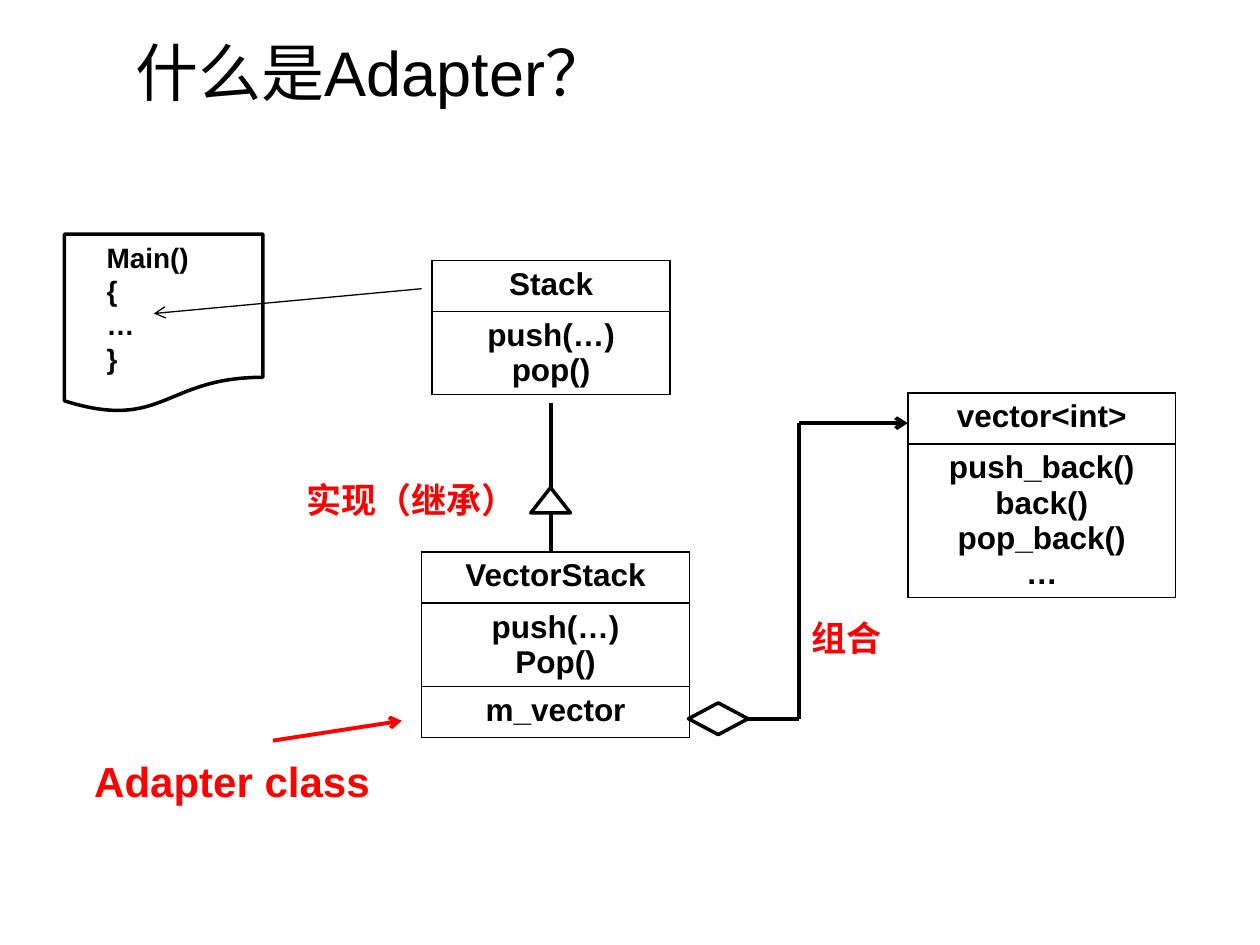
from lxml import etree
from pptx import Presentation
from pptx.dml.color import RGBColor
from pptx.enum.shapes import MSO_CONNECTOR, MSO_SHAPE
from pptx.enum.text import MSO_ANCHOR, MSO_AUTO_SIZE as AUTO, PP_ALIGN
from pptx.oxml import parse_xml
from pptx.oxml.ns import nsdecls, qn
from pptx.util import Cm, Pt

BLACK = RGBColor(0x00, 0x00, 0x00)
WHITE = RGBColor(0xFF, 0xFF, 0xFF)
RED = RGBColor(0xFF, 0x00, 0x00)
FONT = "Arial"


def style_text(frame, size, color=BLACK, bold=True, align=PP_ALIGN.LEFT):
    for paragraph in frame.paragraphs:
        paragraph.alignment = align
        for run in paragraph.runs:
            run.font.name = FONT
            run.font.size = Pt(size)
            run.font.bold = bold
            run.font.color.rgb = color


def add_label(slide, text, left, top, width, height, size,
              color=BLACK, bold=True, wrap=True, grow=True):
    label = slide.shapes.add_textbox(Cm(left), Cm(top), Cm(width), Cm(height))
    frame = label.text_frame
    frame.text = text
    frame.word_wrap = wrap
    frame.auto_size = AUTO.SHAPE_TO_FIT_TEXT if grow else AUTO.NONE
    style_text(frame, size, color, bold)
    return label


def add_borders(cell):
    properties = cell._tc.get_or_add_tcPr()
    for side in ("lnL", "lnR", "lnT", "lnB"):
        properties.append(parse_xml(
            f'<a:{side} {nsdecls("a")} w="{Pt(1)}"><a:solidFill>'
            f'<a:srgbClr val="{BLACK}"/></a:solidFill></a:{side}>'))


def add_class_box(slide, sections, left, top, width):
    """Draw a UML class with one table row per section."""
    heights = [max(1.03, 0.25 + 0.71 * len(lines)) for lines in sections]
    class_box = slide.shapes.add_table(
        len(sections), 1, Cm(left), Cm(top), Cm(width), Cm(sum(heights))).table
    class_box.first_row = False
    class_box.horz_banding = False
    for row, lines, height in zip(class_box.rows, sections, heights):
        row.height = Cm(height)
        cell = row.cells[0]
        cell.text_frame.text = "\n".join(lines)
        style_text(cell.text_frame, 18, align=PP_ALIGN.CENTER)
        add_borders(cell)
        cell.fill.background()


def add_line(slide, start, end, width=2.25, color=BLACK, arrow=False):
    line = slide.shapes.add_connector(
        MSO_CONNECTOR.STRAIGHT, *(Cm(value) for value in (*start, *end)))
    line.line.color.rgb = color
    line.line.width = Pt(width)
    if arrow:
        etree.SubElement(line.line._get_or_add_ln(), qn("a:tailEnd"), type="arrow")
    etree.SubElement(line._element.spPr, qn("a:effectLst"))


def add_symbol(slide, kind, left, top, width, height, fill=None):
    symbol = slide.shapes.add_shape(kind, Cm(left), Cm(top), Cm(width), Cm(height))
    symbol.shadow.inherit = False
    if fill is None:
        symbol.fill.background()
    else:
        symbol.fill.solid()
        symbol.fill.fore_color.rgb = fill
    symbol.line.color.rgb = BLACK
    symbol.line.width = Pt(2)


def main():
    presentation = Presentation()
    presentation.slide_width = Cm(25.4)
    presentation.slide_height = Cm(19.05)
    slide = presentation.slides.add_slide(presentation.slide_layouts[6])

    # Title
    title = add_label(slide, "什么是Adapter？", 2.49, 0.33, 23.6, 2.21, 36,
                      bold=False, grow=False)
    title.text_frame.vertical_anchor = MSO_ANCHOR.MIDDLE

    # Classes
    add_class_box(slide, [["VectorStack"], ["push(…)", "Pop()"], ["m_vector"]],
                  8.5, 11.13, 5.4)
    add_class_box(slide, [["Stack"], ["push(…)", "pop()"]], 8.71, 5.25, 4.8)
    add_class_box(
        slide, [["vector<int>"], ["push_back()", "back()", "pop_back()", "…"]],
        18.3, 7.92, 5.4)

    # Inheritance: VectorStack to Stack
    add_line(slide, (11.1, 11.13), (11.1, 8.13))
    add_symbol(slide, MSO_SHAPE.ISOSCELES_TRIANGLE, 10.7, 9.83, 0.8, 0.51, WHITE)
    add_label(slide, "实现（继承）", 5.92, 9.53, 4.78, 1.12, 20, RED)

    # Composition: VectorStack to vector<int>
    bend_x, vector_y, member_y = 16.1, 8.53, 14.49
    add_line(slide, (13.9, member_y), (bend_x, member_y))
    add_line(slide, (bend_x, vector_y), (18.3, vector_y), arrow=True)
    add_line(slide, (bend_x, vector_y), (bend_x, member_y))
    add_symbol(slide, MSO_SHAPE.DIAMOND, 13.88, 14.17, 1.2, 0.64, WHITE)
    add_label(slide, "组合", 16.1, 12.3, 1.96, 1.12, 20, RED)

    # Main program that uses Stack
    add_symbol(slide, MSO_SHAPE.FLOWCHART_DOCUMENT, 1.3, 4.72, 4, 3.6)
    add_label(slide, "Main()\n{\n…\n}", 1.9, 4.72, 2.8, 3.33, 16)
    add_line(slide, (8.5, 5.82), (3.1, 6.32), width=0.75, arrow=True)

    # Adapter note
    add_line(slide, (5.5, 14.93), (8.1, 14.53), color=RED, arrow=True)
    add_label(slide, "Adapter class", 1.65, 15.1, 6.1, 1.27, 24, RED, wrap=False)

    presentation.save("out.pptx")


if __name__ == "__main__":
    main()
